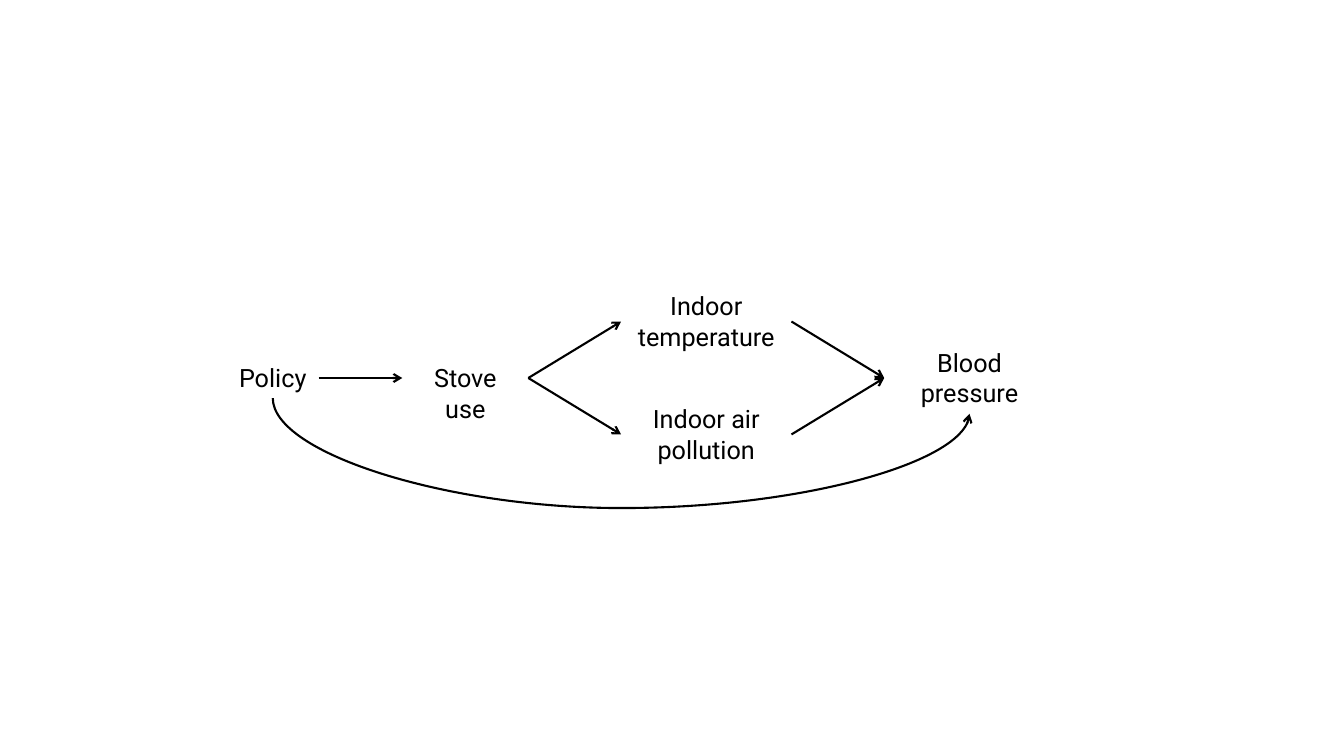
from dataclasses import dataclass

from lxml import etree
from pptx import Presentation
from pptx.dml.color import RGBColor
from pptx.enum import shapes, text
from pptx.oxml import ns
from pptx.util import Inches, Pt


@dataclass(frozen=True)
class Theme:
    font: str = "Roboto"
    size: float = 18
    ink: RGBColor = RGBColor(0, 0, 0)
    line_width: float = 1.5


class Diagram:
    def __init__(self, slide, theme):
        self.slide = slide
        self.theme = theme

    def label(self, words, left, middle, width, height):
        box = self.slide.shapes.add_textbox(
            Inches(left), Inches(middle - height / 2), Inches(width), Inches(height))
        frame = box.text_frame
        frame.text = words
        frame.word_wrap = True
        frame.auto_size = text.MSO_AUTO_SIZE.SHAPE_TO_FIT_TEXT
        paragraph = frame.paragraphs[0]
        paragraph.alignment = text.PP_ALIGN.CENTER
        font = paragraph.runs[0].font
        font.name = self.theme.font
        font.size = Pt(self.theme.size)
        font.color.rgb = self.theme.ink
        return box

    def connector(self, kind, start_x, start_y, end_x, end_y):
        link = self.slide.shapes.add_connector(kind, start_x, start_y, end_x, end_y)
        link.line.color.rgb = self.theme.ink
        link.line.width = Pt(self.theme.line_width)
        etree.SubElement(link.line._get_or_add_ln(), ns.qn("a:tailEnd"), type="arrow")
        etree.SubElement(link._element.spPr, ns.qn("a:effectLst"))
        return link

    def arrow(self, cause, effect):
        return self.connector(
            shapes.MSO_CONNECTOR.STRAIGHT,
            cause.left + cause.width, cause.top + cause.height // 2,
            effect.left, effect.top + effect.height // 2)

    def arc_below(self, cause, effect, depth):
        start_x, end_x = (box.left + box.width // 2 for box in (cause, effect))
        start_y, end_y = (box.top + box.height for box in (cause, effect))
        center_x, center_y = (start_x + end_x) // 2, (start_y + end_y) // 2
        drop, span = end_y - start_y, end_x - start_x
        link = self.connector(
            shapes.MSO_CONNECTOR.CURVE,
            center_x + drop // 2, center_y - span // 2,
            center_x - drop // 2, center_y + span // 2)
        properties = link._element.spPr
        properties.find(ns.qn("a:xfrm")).set("rot", str(270 * 60000))
        adjustments = properties.find(ns.qn("a:prstGeom")).find(ns.qn("a:avLst"))
        bend = round(Inches(depth) / drop * 100000)
        etree.SubElement(adjustments, ns.qn("a:gd"), name="adj1", fmla=f"val {bend}")
        return link


def main():
    deck = Presentation()
    deck.slide_width, deck.slide_height = Inches(13.33), Inches(7.5)
    diagram = Diagram(deck.slides.add_slide(deck.slide_layouts[6]), Theme())

    axis, branch = 3.75, 0.56
    one_line, two_lines, wide = 0.4, 0.71, 1.69
    policy = diagram.label("Policy", 2.25, axis, 0.91, one_line)
    stove = diagram.label("Stove use", 3.99, axis, 1.25, one_line)
    temperature = diagram.label("Indoor temperature", 6.16, axis - branch, wide, two_lines)
    pollution = diagram.label("Indoor air pollution", 6.16, axis + branch, wide, two_lines)
    pressure = diagram.label("Blood pressure", 8.77, axis, wide, two_lines)

    diagram.arrow(policy, stove)
    for mediator in (temperature, pollution):
        diagram.arrow(stove, mediator)
        diagram.arrow(mediator, pressure)
    diagram.arc_below(policy, pressure, 1.09)

    deck.save("out.pptx")


if __name__ == "__main__":
    main()
